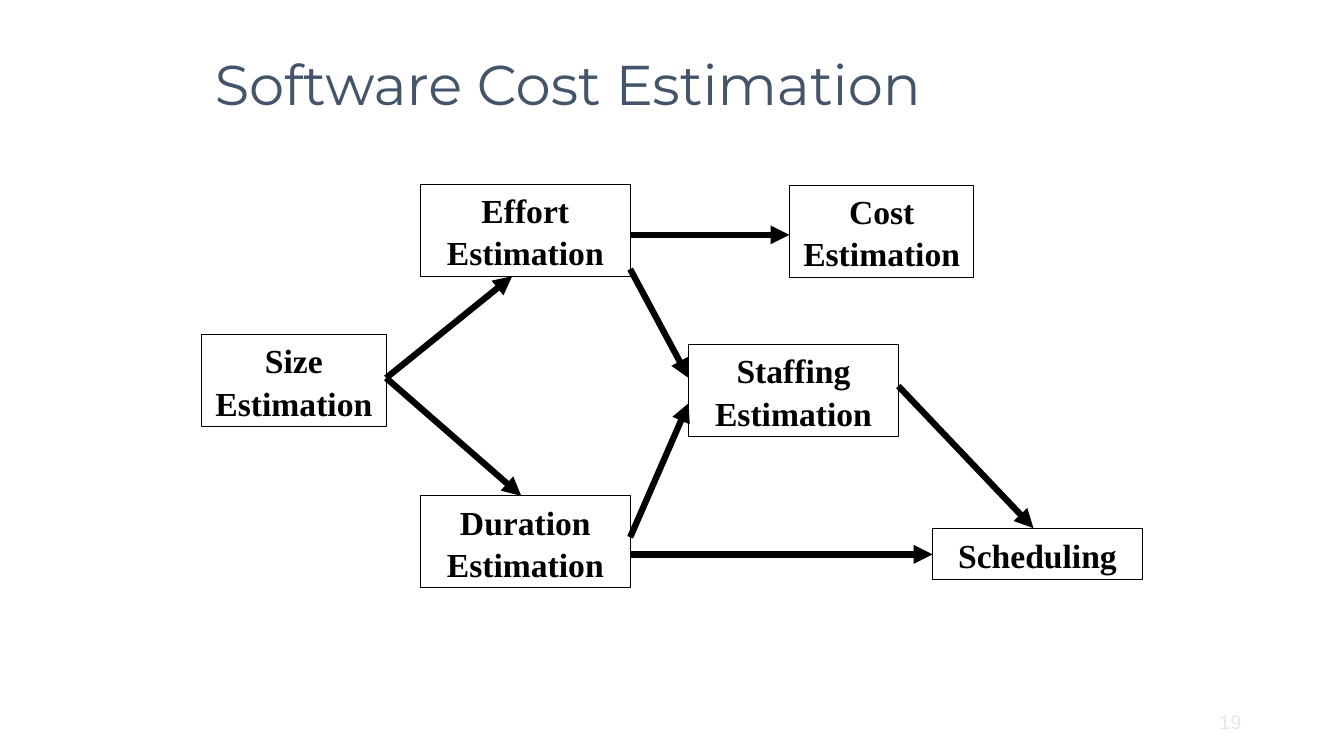
from pptx import Presentation
from pptx.dml.color import RGBColor
from pptx.enum.shapes import MSO_CONNECTOR, MSO_SHAPE
from pptx.enum.text import MSO_ANCHOR, PP_ALIGN
from pptx.oxml.ns import qn
from pptx.util import Inches, Pt
from lxml.etree import SubElement

TITLE = "Software Cost Estimation"
PAGE = "19"
COLORS = {"ink": "000000", "title": "44546A", "page": "E7E6E6"}
NARROW, WIDE = 1.83, 2.08
TALL, SHORT = 0.91, 0.51

STEPS = {
    "Size Estimation": (2, 3.32, NARROW, TALL),
    "Effort Estimation": (4.17, 1.83, WIDE, TALL),
    "Cost Estimation": (7.83, 1.84, NARROW, TALL),
    "Duration Estimation": (4.17, 4.92, WIDE, TALL),
    "Staffing Estimation": (6.83, 3.42, WIDE, TALL),
    "Scheduling": (9.25, 5.24, WIDE, SHORT),
}

# Each end: step, side, distance along that side
FLOWS = [
    (("Size Estimation", "right", 0.43), ("Effort Estimation", "bottom", 0.91)),
    (("Size Estimation", "right", 0.43), ("Duration Estimation", "top", 1)),
    (("Effort Estimation", "right", 0.5), ("Cost Estimation", "left", 0.49)),
    (("Effort Estimation", "right", 0.84), ("Staffing Estimation", "left", 0.33)),
    (("Duration Estimation", "right", 0.41), ("Staffing Estimation", "left", 0.58)),
    (("Duration Estimation", "right", 0.58), ("Scheduling", "left", 0.26)),
    (("Staffing Estimation", "right", 0.41), ("Scheduling", "top", 1)),
]


def color(name):
    return RGBColor.from_string(COLORS[name])


def style(paragraph, font_name, size, color_name, align, bold=False):
    paragraph.alignment = align
    paragraph.font.name = font_name
    paragraph.font.size = Pt(size)
    paragraph.font.bold = bold
    paragraph.font.color.rgb = color(color_name)


def edge_point(step, side, along):
    left, top, width, height = STEPS[step]
    x, y = {
        "left": (left, top + along),
        "right": (left + width, top + along),
        "top": (left + along, top),
        "bottom": (left + along, top + height),
    }[side]
    return Inches(x), Inches(y)


def add_step(slide, label, bounds):
    step = slide.shapes.add_shape(MSO_SHAPE.RECTANGLE, *map(Inches, bounds))
    step.shadow.inherit = False
    step.fill.background()
    step.line.color.rgb = color("ink")
    step.line.width = Pt(0.75)
    frame = step.text_frame
    frame.word_wrap = True
    frame.vertical_anchor = MSO_ANCHOR.MIDDLE
    frame.text = label
    style(frame.paragraphs[0], "Times New Roman", 24, "ink", PP_ALIGN.CENTER, True)
    frame.paragraphs[0].line_spacing = 1.05


def add_flow(slide, start, end):
    flow = slide.shapes.add_connector(
        MSO_CONNECTOR.STRAIGHT, *edge_point(*start), *edge_point(*end))
    flow.line.color.rgb = color("ink")
    flow.line.width = Pt(4.5)
    SubElement(flow.line._get_or_add_ln(), qn("a:tailEnd"), type="triangle")
    SubElement(flow._element.spPr, qn("a:effectLst"))


def add_title(slide):
    title = slide.shapes.title
    title.left, title.top, title.width, title.height = map(Inches, (2.11, 0.2, 8.5, 1.25))
    frame = title.text_frame
    frame.text = TITLE
    frame.word_wrap = True
    frame.vertical_anchor = MSO_ANCHOR.MIDDLE
    frame.margin_left = frame.margin_right = Inches(0.02)
    style(frame.paragraphs[0], "Montserrat", 40, "title", PP_ALIGN.LEFT)


def add_page_number(slide):
    page = slide.shapes.add_textbox(*map(Inches, (11.41, 6.96, 1, 0.4)))
    frame = page.text_frame
    frame.word_wrap = True
    frame.vertical_anchor = MSO_ANCHOR.MIDDLE
    frame.text = PAGE
    style(frame.paragraphs[0], "Arial", 14, "page", PP_ALIGN.RIGHT)


def main():
    deck = Presentation()
    deck.slide_width, deck.slide_height = Inches(13.33), Inches(7.5)
    slide = deck.slides.add_slide(deck.slide_layouts[5])
    add_title(slide)
    for label, bounds in STEPS.items():
        add_step(slide, label, bounds)
    for start, end in FLOWS:
        add_flow(slide, start, end)
    add_page_number(slide)
    deck.save("out.pptx")


if __name__ == "__main__":
    main()
